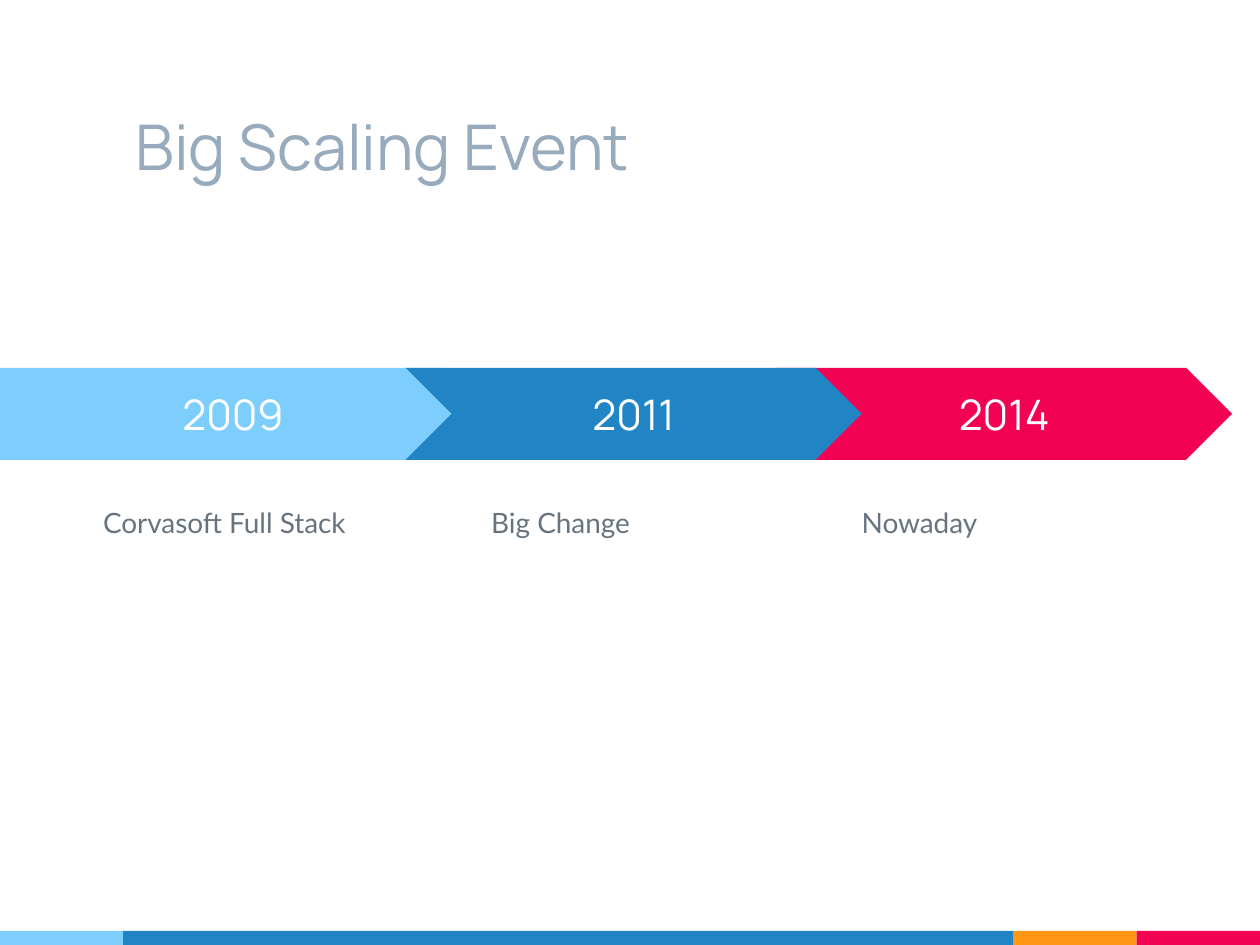
from dataclasses import dataclass
from itertools import pairwise

from pptx import Presentation
from pptx.dml.color import RGBColor
from pptx.enum.shapes import MSO_SHAPE
from pptx.enum.text import MSO_ANCHOR, PP_ALIGN
from pptx.util import Pt

RECTANGLE = MSO_SHAPE.RECTANGLE
PENTAGON = MSO_SHAPE.PENTAGON
CHEVRON = MSO_SHAPE.CHEVRON
TOP, MIDDLE, BOTTOM = MSO_ANCHOR.TOP, MSO_ANCHOR.MIDDLE, MSO_ANCHOR.BOTTOM
LEFT, CENTER = PP_ALIGN.LEFT, PP_ALIGN.CENTER


@dataclass(frozen=True)
class Theme:
    """Colours, fonts and type sizes of the deck."""
    sky: str = "7ECEFD"
    blue: str = "2185C5"
    orange: str = "FF9715"
    red: str = "F20253"
    heading: str = "97ABBC"
    body: str = "677480"
    white: str = "FFFFFF"
    display_font: str = "Manrope"
    body_font: str = "Lato"
    title_size: float = 36
    year_size: float = 24
    label_size: float = 16
    inset: float = 7.2


THEME = Theme()


def write_text(shape, text, font, size, color, anchor, align=LEFT, spacing=1.0):
    """Fill a shape with one styled paragraph."""
    frame = shape.text_frame
    frame.word_wrap = True
    frame.vertical_anchor = anchor
    frame.margin_left = frame.margin_right = Pt(THEME.inset)
    frame.margin_top = frame.margin_bottom = Pt(THEME.inset)
    para = frame.paragraphs[0]
    para.alignment = align
    para.line_spacing = spacing
    span = para.add_run()
    span.text = text
    span.font.name = font
    span.font.size = Pt(size)
    span.font.color.rgb = RGBColor.from_string(color)


def add_block(page, kind, box, color):
    """Add a flat filled shape without an outline."""
    block = page.shapes.add_shape(kind, *map(Pt, box))
    block.shadow.inherit = False
    block.fill.solid()
    block.fill.fore_color.rgb = RGBColor.from_string(color)
    block.line.fill.background()
    return block


def add_title(page, box, text):
    """Add the slide heading at the foot of its box."""
    title = page.shapes.add_textbox(*map(Pt, box))
    write_text(title, text, THEME.display_font, THEME.title_size, THEME.heading, BOTTOM)


def add_stage(page, box, kind, color, year, label, label_offset):
    """Add a timeline arrow with its year and the label beneath it."""
    left, top, width, height = box
    arrow = add_block(page, kind, box, color)
    arrow.adjustments[0] = 0.5
    write_text(arrow, year, THEME.display_font, THEME.year_size, THEME.white, MIDDLE, CENTER)
    note = page.shapes.add_textbox(Pt(left + label_offset), Pt(top + 68.5), Pt(176.4), Pt(206))
    write_text(note, label, THEME.body_font, THEME.label_size, THEME.body, TOP, spacing=1.15)


def add_timeline(page, box):
    """Add the stages, with the middle arrow in front of its neighbours."""
    left, top, width, height = box
    chevron_width, step = 260.6, 211.7
    last = left + width - chevron_width
    stages = (
        (last, chevron_width, CHEVRON, THEME.red, "2014", "Nowaday", 41.8),
        (left, 279.4, PENTAGON, THEME.sky, "2009", "Corvasoft Full Stack", 51.8),
        (last - step, chevron_width, CHEVRON, THEME.blue, "2011", "Big Change", 41.8),
    )
    for start, length, *details in stages:
        add_stage(page, (start, top, length, height), *details)


def add_footer(page, box):
    """Add the striped colour bar."""
    left, top, width, height = box
    unit = 70.4
    edges = (0, unit, width - 2 * unit, width - unit, width)
    colors = (THEME.sky, THEME.blue, THEME.orange, THEME.red)
    for (start, end), color in zip(pairwise(edges), colors):
        add_block(page, RECTANGLE, (left + start, top, end - start, height), color)


def main():
    """Build and save the deck."""
    deck = Presentation()
    deck.slide_width, deck.slide_height = Pt(720), Pt(540)
    page = deck.slides.add_slide(deck.slide_layouts[6])
    add_footer(page, (0, 532, 720, 8))
    add_title(page, (70.4, 21.6, 509, 90), "Big Scaling Event")
    add_timeline(page, (0, 210.2, 704.1, 52.6))
    deck.save("out.pptx")


if __name__ == "__main__":
    main()
